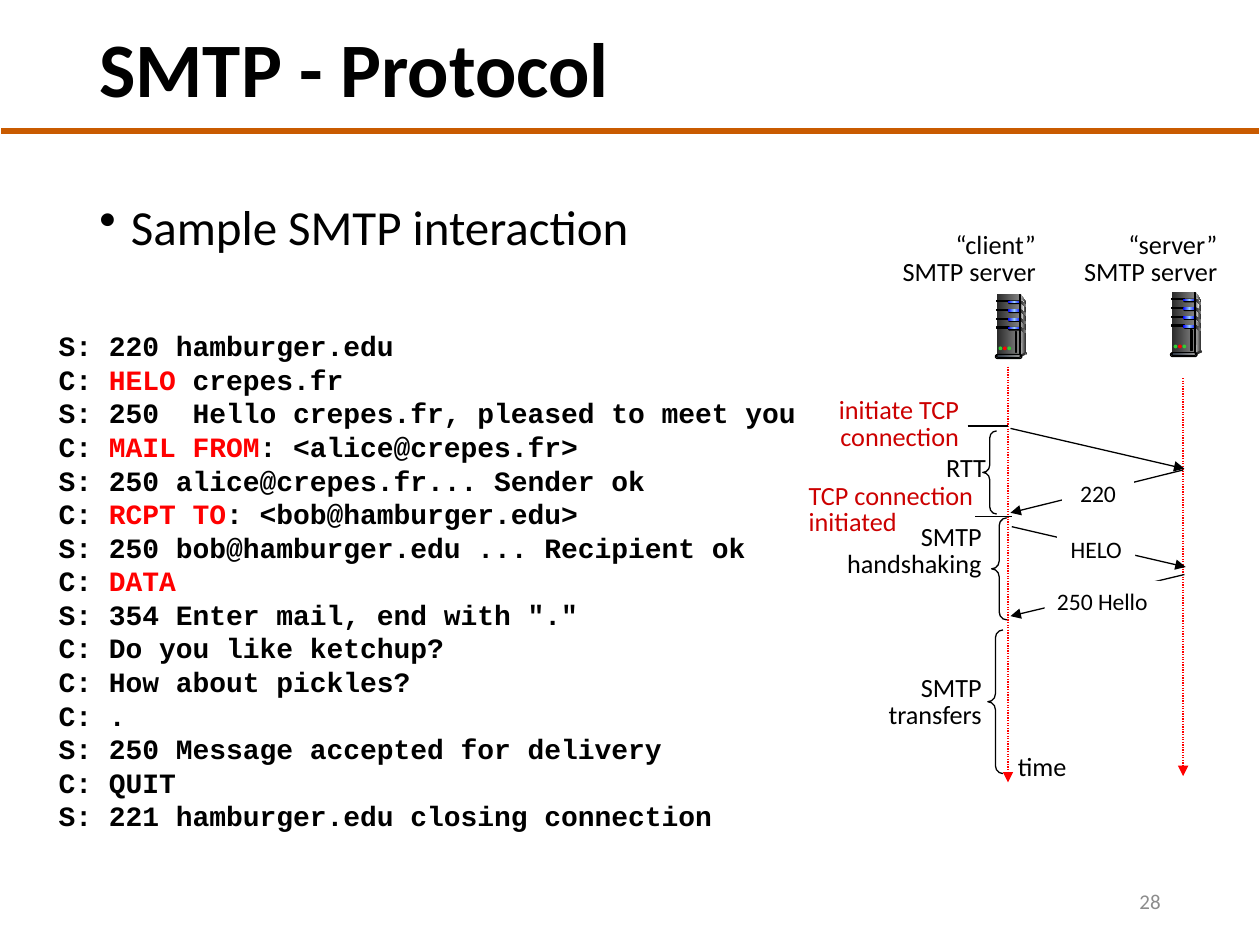
import copy

import lxml.etree
import pptx
import pptx.dml.color
import pptx.enum.dml
import pptx.enum.shapes
import pptx.enum.text
import pptx.oxml.ns
import pptx.util

COLOURS = {
    "black": "000000", "white": "FFFFFF", "rule": "C95B00", "red": "FF0000",
    "label": "CC0000", "number": "8C8C8C", "coal": "292929", "dark": "333333",
    "grey": "808080", "silver": "DDDDDD", "pale": "F8F8F8", "blue": "0000FF",
    "sky": "99CCFF", "green": "33CC33", "slate": "44546A", "mist": "E7E6E6",
}
RGB = {name: pptx.dml.color.RGBColor.from_string(value) for name, value in COLOURS.items()}
ALIGN = pptx.enum.text.PP_ALIGN
ANCHOR = pptx.enum.text.MSO_ANCHOR
SHAPE = pptx.enum.shapes.MSO_SHAPE
qn = pptx.oxml.ns.qn

presentation = pptx.Presentation()
presentation.slide_width = pptx.util.Inches(10)
presentation.slide_height = pptx.util.Inches(7.5)
slide = presentation.slides.add_slide(presentation.slide_layouts[6])
# Every length below counts cells of a grid with 100 columns and 75 rows.
CELL = presentation.slide_width // 100


def paint(shape, colours, outlined=False):
    """Fill with one colour, or with an even left-to-right gradient of several."""
    shape.shadow.inherit = False
    if len(colours) == 1:
        shape.fill.solid()
        shape.fill.fore_color.rgb = RGB[colours[0]]
    elif colours:
        shape.fill.gradient()
        shape.fill.gradient_angle = 0
        if len(colours) == 3:
            first = shape._element.spPr.find(".//" + qn("a:gs"))
            first.addnext(copy.deepcopy(first))
        for index, stop in enumerate(shape.fill.gradient_stops):
            stop.position = index / (len(colours) - 1)
            stop.color.rgb = RGB[colours[index]]
    else:
        shape.fill.background()
    if outlined:
        shape.line.color.rgb = RGB["black"]
        shape.line.width = pptx.util.Pt(0.75)
    else:
        shape.line.fill.background()


def add_text(box, lines, size, colour="black", align=ALIGN.LEFT, spacing=0.85, wrap=True,
             font="Calibri", bold=False, anchor=ANCHOR.TOP, filled=False):
    """Write lines in a box; parts between asterisks are red."""
    place = [round(value * CELL) for value in box]
    if filled:
        shape = slide.shapes.add_shape(SHAPE.RECTANGLE, *place)
        paint(shape, ["white"])
    else:
        shape = slide.shapes.add_textbox(*place)
    frame = shape.text_frame
    frame.word_wrap = wrap
    frame.vertical_anchor = anchor
    for index, line in enumerate(lines):
        paragraph = frame.add_paragraph() if index else frame.paragraphs[0]
        paragraph.alignment = align
        paragraph.line_spacing = spacing
        paragraph.font.name = font
        paragraph.font.size = pptx.util.Pt(size)
        paragraph.font.bold = bold
        paragraph.font.color.rgb = RGB[colour]
        for position, part in enumerate(line.split("*")):
            if part:
                run = paragraph.add_run()
                run.text = part
                if position % 2:
                    run.font.color.rgb = RGB["red"]
    return frame


# Heading, bullet and page number
add_text((6.9, 1.5, 79.3, 8.5), ["SMTP - Protocol"], 44, spacing=0.9, bold=True,
         anchor=ANCHOR.MIDDLE)
bullet_frame = add_text((6.9, 15.6, 91.2, 7.6), ["Sample SMTP interaction"], 28, spacing=0.9)
properties = bullet_frame.paragraphs[0]._p.get_or_add_pPr()
properties.set("marL", str(round(2.5 * CELL)))
properties.set("indent", str(round(-2.5 * CELL)))
bullet = lxml.etree.Element(qn("a:buChar"), char="•")
properties.find(qn("a:defRPr")).addprevious(bullet)
add_text((70.6, 69.5, 22.5, 4), ["28"], 12, "number", ALIGN.RIGHT, 1, anchor=ANCHOR.MIDDLE)

# Dialogue
dialogue = [
    "S: 220 hamburger.edu",
    "C: *HELO* crepes.fr",
    "S: 250  Hello crepes.fr, pleased to meet you",
    "C: *MAIL FROM*: <alice@crepes.fr>",
    "S: 250 alice@crepes.fr... Sender ok",
    "C: *RCPT TO*: <bob@hamburger.edu>",
    "S: 250 bob@hamburger.edu ... Recipient ok",
    "C: *DATA*",
    'S: 354 Enter mail, end with "."',
    "C: Do you like ketchup?",
    "C: How about pickles?",
    "C: .",
    "S: 250 Message accepted for delivery",
    "C: QUIT",
    "S: 221 hamburger.edu closing connection",
]
add_text((3.67, 25.6, 71.4, 42.7), dialogue, 16, spacing=1, font="Courier New", bold=True)

# Rule, time axes, ticks and messages: ends, colour, width, dotted, arrow
lines = [
    ((0.1, 10.4, 99.9, 10.4), "rule", 3, False, False),
    ((80, 29.1, 80, 62.1), "red", 0.75, True, True),
    ((93.9, 30, 93.9, 61.6), "red", 0.75, True, True),
    ((76.8, 33.8, 80, 33.8), "black", 0.75, False, False),
    ((77.4, 41, 80.3, 41), "black", 0.75, False, False),
    ((80.2, 34, 94, 37.2), "black", 0.75, False, True),
    ((93.9, 37.3, 80.2, 40.7), "black", 0.75, False, True),
    ((80.3, 41.8, 94.1, 45), "black", 0.75, False, True),
    ((94, 45.6, 80.2, 48.9), "black", 0.75, False, True),
]
for ends, colour, width, dotted, arrow in lines:
    connector = slide.shapes.add_connector(pptx.enum.shapes.MSO_CONNECTOR.STRAIGHT,
                                           *[round(value * CELL) for value in ends])
    connector.line.color.rgb = RGB[colour]
    connector.line.width = pptx.util.Pt(width)
    if dotted:
        connector.line.dash_style = pptx.enum.dml.MSO_LINE.ROUND_DOT
    if arrow:
        lxml.etree.SubElement(connector.line._get_or_add_ln(), qn("a:tailEnd"), type="triangle")
    lxml.etree.SubElement(connector._element.spPr, qn("a:effectLst"))

# Server towers: preset with its box, or None with outline points; colours; outlined
parts = [
    (None, [(1.9, 0), (2.3, 0.6), (2.3, 4.6), (1.8, 4.8)], ["silver", "dark"], False),
    (SHAPE.RECTANGLE, (0, 0, 1.8, 4.9), ["coal", "grey"], False),
    (None, [(1.9, 0.3), (2.2, 0.7), (2, 2.4), (1.9, 4.7)], ["grey", "pale"], False),
]
for row in range(4):
    top = 0.5 + 0.7 * row
    parts += [
        (SHAPE.RECTANGLE, (0, top, 1, 0.1), ["black"], True),
        (SHAPE.ROUNDED_RECTANGLE, (0.9, top, 1, 0.3), ["black"], False),
        (SHAPE.ROUNDED_RECTANGLE, (0.9, top, 1, 0.2), ["blue", "sky", "blue"], False),
        (None, [(1.9, top), (2.3, top + 0.3), (2.3, top + 0.5), (1.9, top + 0.2)],
         ["coal", "grey"], False),
    ]
parts += [
    (SHAPE.RECTANGLE, (1.8, 0, 0.1, 4.9), ["dark", "silver", "dark"], True),
    (SHAPE.OVAL, (2.3, 4.6, 0.1, 0.2), ["dark"], False),
    (None, [(1.9, 4.8), (1.9, 5), (2.3, 4.8), (2.3, 4.6)], ["dark"], False),
    (SHAPE.ROUNDED_RECTANGLE, (-0.1, 4.8, 2.1, 0.3), ["silver"], True),
    (SHAPE.ROUNDED_RECTANGLE, (0, 4.8, 1.9, 0.2), ["slate", "mist"], True),
    (SHAPE.RECTANGLE, (1.5, 3, 0.1, 1.6), ["coal"], True),
]
for column, lamp in enumerate(["green", "red", "green"]):
    parts.append((SHAPE.OVAL, (0.15 + 0.35 * column, 4.15, 0.3, 0.3), [lamp], False))

for left, top in [(93, 23.2), (79.1, 23.35)]:
    tower = slide.shapes.add_group_shape()
    for preset, geometry, colours, outlined in parts:
        if preset is None:
            points = [(round((left + x) * CELL), round((top + y) * CELL)) for x, y in geometry]
            builder = tower.shapes.build_freeform(*points[0])
            builder.add_line_segments(points[1:], close=True)
            part = builder.convert_to_shape()
        else:
            x, y, width, height = geometry
            part = tower.shapes.add_shape(preset, *[
                round(value * CELL) for value in (left + x, top + y, width, height)])
            if preset == SHAPE.ROUNDED_RECTANGLE:
                part.adjustments[0] = 0.5
        paint(part, colours, outlined)

# Message names over the arrows
for box, name, align in [((84.3, 37.5, 5.7, 3.3), "220", ALIGN.CENTER),
                         ((82.9, 46.1, 9.2, 3.3), "250 Hello", ALIGN.LEFT),
                         ((83.9, 42, 6.2, 3.3), "HELO", ALIGN.CENTER)]:
    add_text(box, [name], 13.5, align=align, spacing=1, filled=True)

# Phases along the client's axis
for box in [(78, 34.2, 1.1, 6.6), (78.7, 41.1, 1.2, 8.1), (78.4, 50, 1.2, 11.4)]:
    brace = slide.shapes.add_shape(SHAPE.LEFT_BRACE, *[round(value * CELL) for value in box])
    brace.adjustments[0] = 0.52
    paint(brace, [], True)

for box, label, colour, align, wrap in [
    ((70, 18, 13.2, 5.3), ["“client”", "SMTP server"], "black", ALIGN.RIGHT, False),
    ((84.4, 18, 13.2, 5.3), ["“server”", "SMTP server"], "black", ALIGN.RIGHT, False),
    ((65.4, 31.1, 11.7, 5.3), ["initiate TCP", "connection"], "label", ALIGN.RIGHT, False),
    ((74.1, 35.7, 5.2, 3.2), ["RTT"], "black", ALIGN.LEFT, False),
    ((63.2, 37.9, 18, 5.3), ["TCP connection", "initiated"], "label", ALIGN.LEFT, True),
    ((65.3, 41.2, 13.6, 5.3), ["SMTP handshaking"], "black", ALIGN.RIGHT, True),
    ((65.3, 53.2, 13.6, 5.3), ["SMTP transfers"], "black", ALIGN.RIGHT, True),
    ((79.8, 59.4, 5.9, 3.2), ["time"], "black", ALIGN.LEFT, False),
]:
    add_text(box, label, 15, colour, align, wrap=wrap)

presentation.save("out.pptx")
